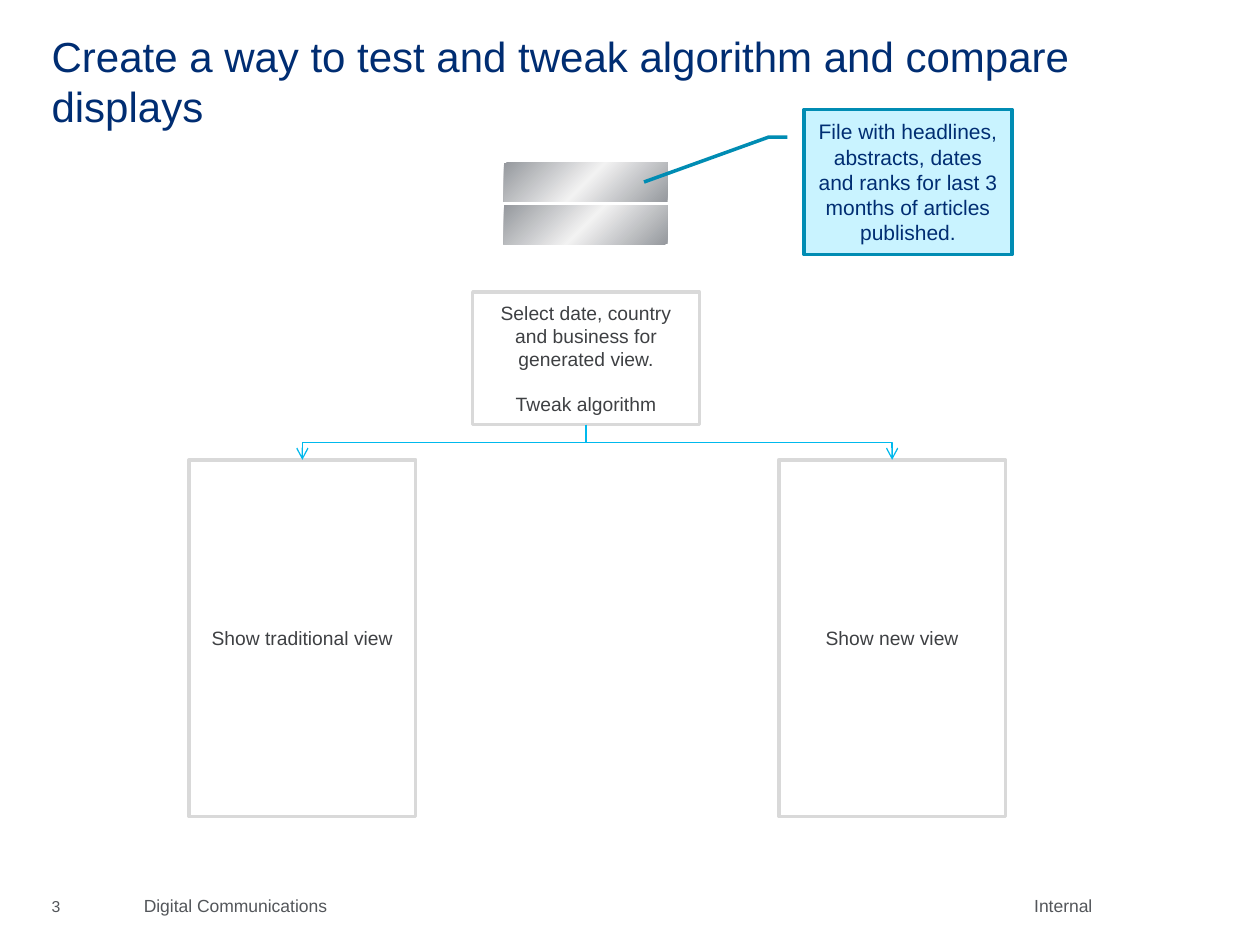
from copy import deepcopy

from lxml.etree import SubElement
from pptx import Presentation
from pptx.dml.color import RGBColor
from pptx.enum.shapes import MSO_CONNECTOR as Connector, MSO_SHAPE as Shape
from pptx.enum.text import MSO_ANCHOR as Anchor, PP_ALIGN as Align
from pptx.oxml.ns import qn
from pptx.util import Cm, Pt

NAVY = RGBColor(0x00, 0x2D, 0x72)
TEAL = RGBColor(0x00, 0x8C, 0xB3)
CYAN = RGBColor(0x00, 0xB9, 0xED)
PALE_BLUE = RGBColor(0xC9, 0xF3, 0xFF)
SILVER = RGBColor(0x96, 0x99, 0x9E)
SHINE = RGBColor(0xF2, 0xF2, 0xF2)
BORDER = RGBColor(0xD9, 0xD9, 0xD9)
INK = RGBColor(0x3E, 0x40, 0x43)
GRAY = RGBColor(0x53, 0x56, 0x5A)


class SlideBuilder:
    font_name = "Arial"

    def __init__(self, page):
        self.page = page

    def set_text(self, frame, lines, size, color, align=Align.LEFT, gap=0):
        for index, line in enumerate(lines):
            paragraph = frame.add_paragraph() if index else frame.paragraphs[0]
            paragraph.text = line
            paragraph.alignment = align
            paragraph.space_before = Pt(gap if index else 0)
            paragraph.font.name = self.font_name
            paragraph.font.size = Pt(size)
            paragraph.font.color.rgb = color

    def clear_margins(self, frame):
        frame.margin_left = frame.margin_right = 0
        frame.margin_top = frame.margin_bottom = 0

    def title(self, text, left, top, width, height):
        title = self.page.shapes.title
        title.left, title.top = Cm(left), Cm(top)
        title.width, title.height = Cm(width), Cm(height)
        frame = title.text_frame
        self.clear_margins(frame)
        frame.word_wrap = True
        frame.vertical_anchor = Anchor.TOP
        self.set_text(frame, [text], 24, NAVY)

    def label(self, text, left, top, width, height, size=10,
              align=Align.LEFT, anchor=Anchor.TOP):
        box = self.page.shapes.add_textbox(Cm(left), Cm(top), Cm(width), Cm(height))
        frame = box.text_frame
        self.clear_margins(frame)
        frame.word_wrap = True
        frame.vertical_anchor = anchor
        self.set_text(frame, [text], size, GRAY, align)
        frame.paragraphs[0].line_spacing = 0.95

    def shape(self, kind, left, top, width, height):
        shape = self.page.shapes.add_shape(kind, Cm(left), Cm(top), Cm(width), Cm(height))
        shape.shadow.inherit = False
        return shape

    def metal_bar(self, left, top, width, height):
        bar = self.shape(Shape.RECTANGLE, left, top, width, height)
        bar.line.fill.background()
        bar.fill.gradient()
        bar.fill.gradient_angle = 135
        stop_list = bar._element.spPr.find(qn("a:gradFill")).find(qn("a:gsLst"))
        stop_list.append(deepcopy(stop_list[0]))
        stops = zip(bar.fill.gradient_stops, (0, 0.5, 1), (SILVER, SHINE, SILVER))
        for stop, position, color in stops:
            stop.position = position
            stop.color.rgb = color

    def box(self, lines, left, top, width, height):
        box = self.shape(Shape.RECTANGLE, left, top, width, height)
        box.fill.background()
        box.line.color.rgb = BORDER
        box.line.width = Pt(2)
        box.text_frame.word_wrap = True
        box.text_frame.vertical_anchor = Anchor.MIDDLE
        self.set_text(box.text_frame, lines, 11, INK, Align.CENTER, gap=12.65)
        return box

    def callout(self, text, left, top, width, height, bends):
        callout = self.shape(Shape.LINE_CALLOUT_2, left, top, width, height)
        for index, value in enumerate(bends):
            callout.adjustments[index] = value
        callout.fill.solid()
        callout.fill.fore_color.rgb = PALE_BLUE
        callout.line.color.rgb = TEAL
        callout.line.width = Pt(2)
        callout.text_frame.word_wrap = True
        callout.text_frame.vertical_anchor = Anchor.MIDDLE
        self.set_text(callout.text_frame, [text], 12, NAVY, Align.CENTER)

    def elbow_down(self, source, target):
        start_x = source.left + source.width // 2
        start_y = source.top + source.height
        end_x = target.left + target.width // 2
        center_x = (start_x + end_x) // 2
        center_y = (start_y + target.top) // 2
        half_span = abs(end_x - start_x) // 2
        half_drop = (target.top - start_y) // 2
        side = 1 if end_x > start_x else -1
        elbow = self.page.shapes.add_connector(
            Connector.ELBOW,
            center_x + side * half_drop, center_y - half_span,
            center_x - side * half_drop, center_y + half_span)
        elbow.line.color.rgb = CYAN
        elbow.line.width = Pt(0.75)
        properties = elbow._element.spPr
        turn = 270 if side > 0 else 90
        properties.find(qn("a:xfrm")).set("rot", str(turn * 60000))
        SubElement(properties.find(qn("a:ln")), qn("a:tailEnd"), type="arrow")
        SubElement(properties, qn("a:effectLst"))


def main():
    deck = Presentation()
    deck.slide_width, deck.slide_height = Cm(25.4), Cm(19.05)
    builder = SlideBuilder(deck.slides.add_slide(deck.slide_layouts[5]))

    builder.label("Digital Communications", 2.9, 18.08, 5.74, 0.51)
    builder.label("Internal", 8.66, 18.08, 13.36, 0.51, align=Align.RIGHT)
    builder.title("Create a way to test and tweak algorithm and compare displays",
                  1.04, 0.61, 22.86, 3.18)
    builder.label("3", 1.04, 17.91, 0.97, 0.76, size=9, anchor=Anchor.MIDDLE)

    for top in (3.28, 4.14):
        builder.metal_bar(10.16, top, 3.3, 0.79)
    builder.callout("File with headlines, abstracts, dates and ranks for last 3 "
                    "months of articles published.", 16.21, 2.21, 4.19, 2.92,
                    (0.19, -0.08, 0.19, -0.17, 0.5, -0.77))

    selection = builder.box(["Select date, country and business for generated view.",
                             "Tweak algorithm"], 9.53, 5.89, 4.57, 2.67)
    views = [builder.box([text], left, 9.27, 4.57, 7.19)
             for text, left in (("Show traditional view", 3.81), ("Show new view", 15.7))]
    for view in views:
        builder.elbow_down(selection, view)

    deck.save("out.pptx")


if __name__ == "__main__":
    main()
